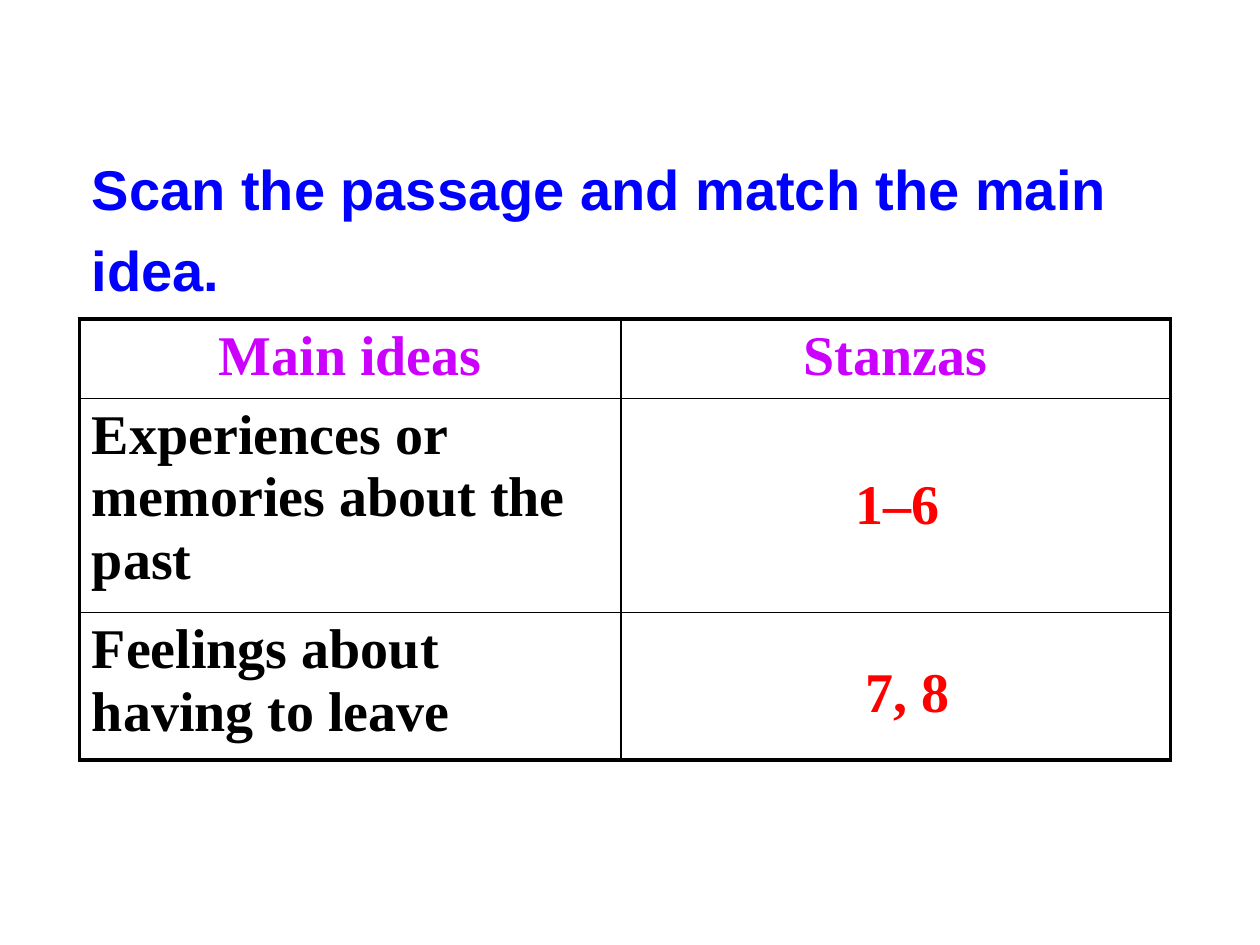
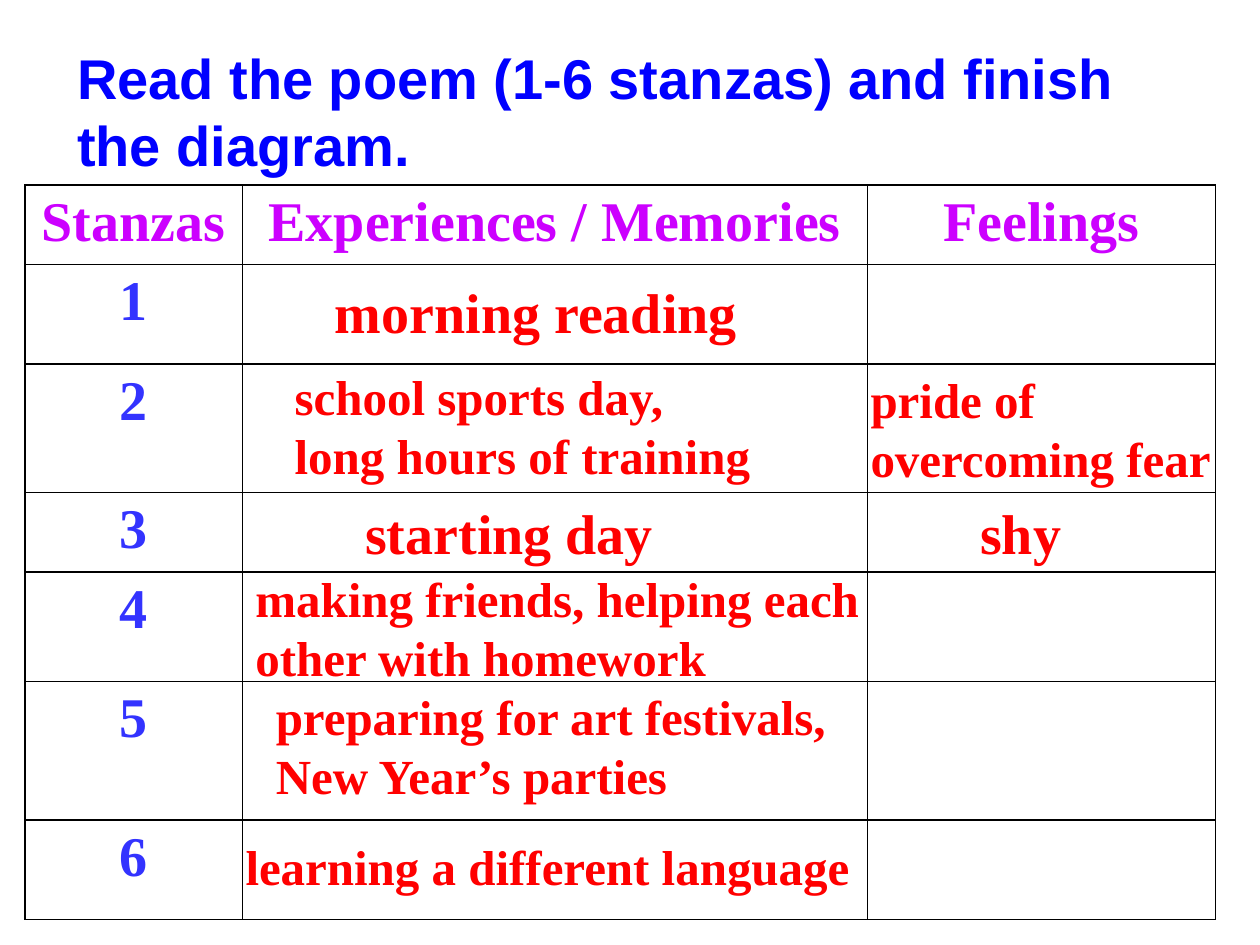
from dataclasses import dataclass
from lxml.etree import SubElement
from pptx import Presentation
from pptx.dml.color import RGBColor
from pptx.enum.text import MSO_ANCHOR, MSO_AUTO_SIZE, PP_ALIGN
from pptx.oxml.ns import qn
from pptx.util import Cm, Pt


@dataclass(frozen=True)
class Theme:
    heading_font: str = "Arial"
    text_font: str = "Times New Roman"
    large: int = 32
    small: int = 28
    heading: str = "0000FF"
    header: str = "CC00FF"
    answer: str = "FF0000"
    idea: str = "000000"
    number: str = "3333FF"
    border: str = "000000"
    cell: str = "FFFFFF"


THEME = Theme()

# Boxes are left, top, width, height in centimetres.
# Answers are lines, box, type size.
SLIDES = [
    dict(
        title="Scan the passage and match the main idea.",
        title_box=(1.6, 2.72, 22.8, 3.53),
        line_spacing=1.2,
        table=dict(
            rows=[
                ["Main ideas", "Stanzas"],
                ["Experiences or memories about the past", ""],
                ["Feelings about having to leave", ""],
            ],
            corner=(1.6, 6.43),
            widths=[10.92, 11.07],
            heights=[1.6, 4.32, 2.97],
            body_color=THEME.idea,
            body_align=PP_ALIGN.LEFT,
            outer_line=2.25,
            fill_opacity=None,
        ),
        answers=[
            (["1–6"], (16.99, 9.04, 2.64, 1.75), THEME.large),
            (["7, 8"], (17.2, 12.83, 2.97, 1.75), THEME.large),
        ],
    ),
    dict(
        title="Read the poem (1-6 stanzas) and finish the diagram.",
        title_box=(1.3, 0.74, 23.11, 3),
        line_spacing=1.0,
        table=dict(
            rows=[["Stanzas", "Experiences / Memories", "Feelings"]]
            + [[str(stanza), "", ""] for stanza in range(1, 7)],
            corner=(0.5, 3.73),
            widths=[4.39, 12.6, 7.01],
            heights=[1.6, 2.01, 2.59, 1.6, 2.21, 2.79, 2.01],
            body_color=THEME.number,
            body_align=PP_ALIGN.CENTER,
            outer_line=1,
            fill_opacity=50,
        ),
        answers=[
            (["morning reading"], (6.5, 5.46, 9, 1.6), THEME.large),
            (["school sports day,", "long hours of training"],
             (5.69, 7.26, 10, 2.62), THEME.small),
            (["pride of overcoming fear"], (17.3, 7.32, 7.49, 2.62), THEME.small),
            (["starting day"], (7.11, 9.93, 7, 1.6), THEME.large),
            (["shy"], (19.51, 9.93, 2.6, 1.6), THEME.large),
            (["making friends, helping each other with homework"],
             (4.9, 11.33, 13.21, 2.62), THEME.small),
            (["preparing for art festivals,", "New Year’s parties"],
             (5.31, 13.72, 12.2, 2.62), THEME.small),
            (["learning a different language"],
             (4.7, 16.74, 13.2, 1.45), THEME.small),
        ],
    ),
]


def style(paragraph, color, size=THEME.large, name=THEME.text_font,
          align=PP_ALIGN.LEFT, spacing=None):
    paragraph.alignment = align
    paragraph.line_spacing = spacing
    font = paragraph.font
    font.name, font.size, font.bold = name, Pt(size), True
    font.color.rgb = RGBColor.from_string(color)


def add_title(slide, text, box, spacing):
    title = slide.shapes.title
    title.left, title.top, title.width, title.height = map(Cm, box)
    frame = title.text_frame
    frame.text = text
    frame.word_wrap = True
    frame.auto_size = MSO_AUTO_SIZE.NONE
    frame.vertical_anchor = MSO_ANCHOR.TOP
    style(frame.paragraphs[0], THEME.heading, name=THEME.heading_font, spacing=spacing)


def set_borders(cell, widths):
    """Draw the left, right, top and bottom borders, widths in points."""
    properties = cell._tc.get_or_add_tcPr()
    for side, width in zip("LRTB", widths):
        line = SubElement(properties, qn(f"a:ln{side}"), w=str(Pt(width)))
        fill = SubElement(line, qn("a:solidFill"))
        SubElement(fill, qn("a:srgbClr"), val=THEME.border)


def fill_cell(cell, opacity):
    if opacity is None:
        cell.fill.background()
        return
    cell.fill.solid()
    cell.fill.fore_color.rgb = RGBColor.from_string(THEME.cell)
    color = cell._tc.tcPr.find(qn("a:solidFill")).find(qn("a:srgbClr"))
    SubElement(color, qn("a:alpha"), val=str(opacity * 1000))


def add_table(slide, rows, corner, widths, heights, body_color, body_align,
              outer_line, fill_opacity, inner_line=1):
    size = sum(widths), sum(heights)
    table = slide.shapes.add_table(len(rows), len(widths), *map(Cm, corner + size)).table
    table.first_row = table.horz_banding = False
    for column, width in zip(table.columns, widths):
        column.width = Cm(width)
    for row, height in zip(table.rows, heights):
        row.height = Cm(height)
    last_row, last_column = len(rows) - 1, len(widths) - 1
    for r, texts in enumerate(rows):
        for c, text in enumerate(texts):
            cell = table.cell(r, c)
            edges = c == 0, c == last_column, r == 0, r == last_row
            set_borders(cell, [outer_line if edge else inner_line for edge in edges])
            fill_cell(cell, fill_opacity)
            cell.text = text
            paragraph = cell.text_frame.paragraphs[0]
            if r == 0:
                style(paragraph, THEME.header, align=PP_ALIGN.CENTER)
            else:
                style(paragraph, body_color, align=body_align)


def add_answer(slide, lines, box, size, spacing):
    frame = slide.shapes.add_textbox(*map(Cm, box)).text_frame
    frame.word_wrap = True
    frame.text = "\n".join(lines)
    for paragraph in frame.paragraphs:
        style(paragraph, THEME.answer, size, spacing=spacing)


def main():
    presentation = Presentation()
    presentation.slide_width, presentation.slide_height = Cm(25.4), Cm(19.05)
    title_only = presentation.slide_layouts[5]
    for content in SLIDES:
        slide = presentation.slides.add_slide(title_only)
        spacing = content["line_spacing"]
        add_title(slide, content["title"], content["title_box"], spacing)
        add_table(slide, **content["table"])
        for lines, box, size in content["answers"]:
            add_answer(slide, lines, box, size, spacing)
    presentation.save("out.pptx")


if __name__ == "__main__":
    main()
